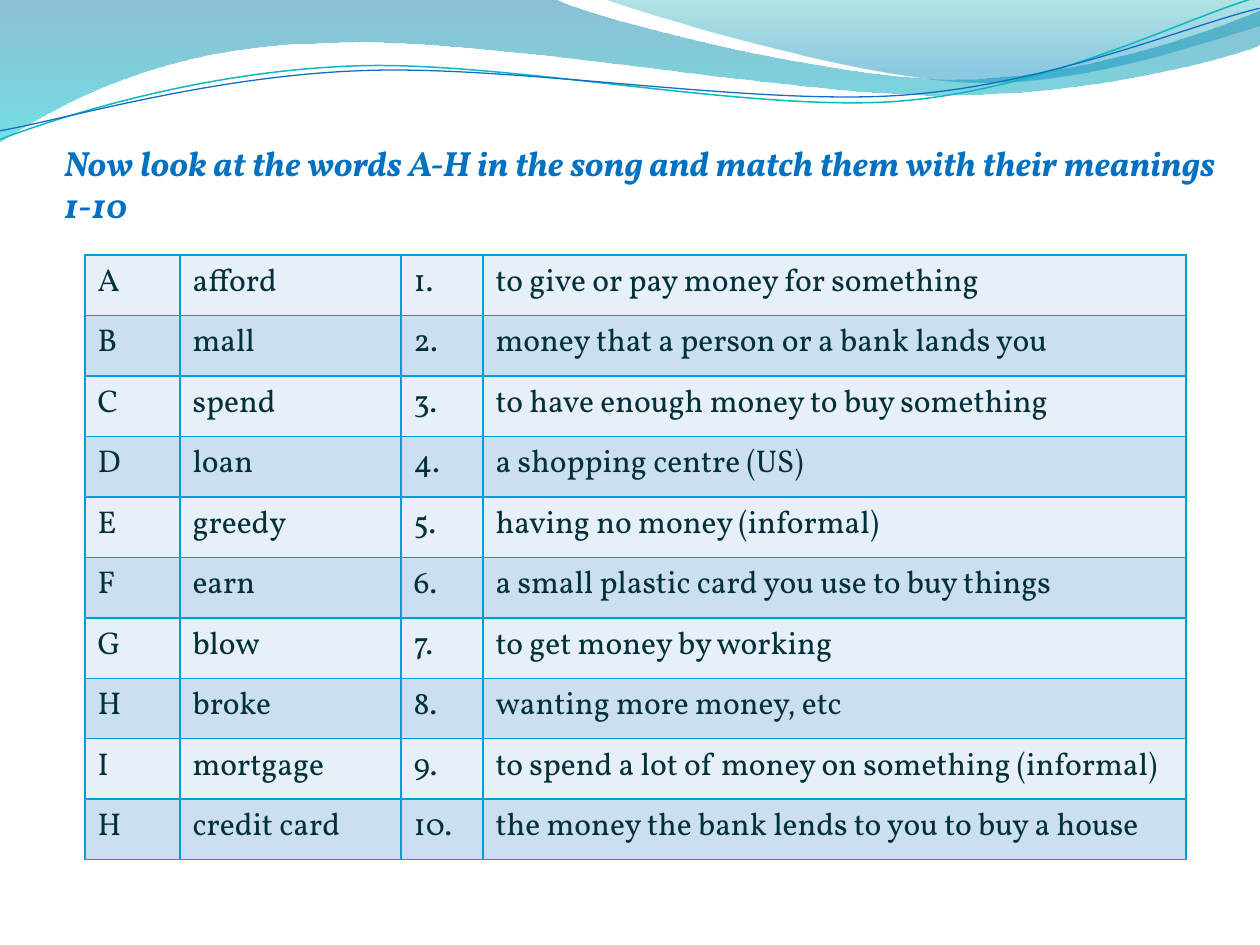
from lxml import etree
from pptx import Presentation
from pptx.dml.color import RGBColor
from pptx.oxml.ns import qn
from pptx.util import Emu, Pt

EMU_PER_PX = 914400 / 126
FONT = "Vollkorn"
LINE_TILT = -2.7
COLORS = {
    "heading": "0070C0",
    "cell_text": "01303D",
    "border": "009DD9",
    "odd_row": "E7EFF8",
    "even_row": "CCDFF1",
    "band_top": "0074A1",
    "band_bottom": "00C6CF",
    "veil_top": "00A1A9",
    "veil_bottom": "008BBF",
    "teal_line": "0AB8BF",
    "blue_line": "0F6FC6",
}

# A segment of one point is a straight line, one of three points a Bezier curve.
BAND = [(0, 0), [(554, -1)],
        [(600, 21), (837, 79), (955, 79)], [(1075, 79), (1207, 33), (1260, 11)],
        [(1261, 45)],
        [(1239, 55), (1096, 96), (940, 95)], [(784, 95), (481, 35), (324, 43)],
        [(163, 45), (58, 105), (-1, 142)]]
VEIL = [(604, -1),
        [(641, 14), (859, 78), (969, 82)], [(1079, 87), (1211, 40), (1260, 26)],
        [(1260, 0)]]
# The two lines are given level and tilted as a whole.
TEAL_LINE = [(-3, 110), [(58, 90), (199, 52), (350, 53)],
             [(499, 53), (745, 118), (896, 114)], [(1049, 109), (1184, 45), (1260, 27)]]
BLUE_LINE = [(-2, 101), [(57, 94), (207, 57), (357, 58)],
             [(509, 58), (750, 112), (902, 108)], [(1052, 104), (1188, 52), (1262, 38)]]

HEADING = "Now look at the words A-H in the song and match them with their meanings 1-10"
COLUMN_WIDTHS = [95, 221, 82, 703]
TABLE_HEIGHT = 605
MATCHES = [
    ("A", "afford", "to give or pay money for something"),
    ("B", "mall", "money that a person or a bank lands you"),
    ("C", "spend", "to have enough money to buy something"),
    ("D", "loan", "a shopping centre (US)"),
    ("E", "greedy", "having no money (informal)"),
    ("F", "earn", "a small plastic card you use to buy things"),
    ("G", "blow", "to get money by working"),
    ("H", "broke", "wanting more money, etc"),
    ("I", "mortgage", "to spend a lot of money on something (informal)"),
    ("H", "credit card", "the money the bank lends to you to buy a house"),
]


def px(length):
    return Emu(round(length * EMU_PER_PX))


def rgb(name):
    return RGBColor.from_string(COLORS[name])


def add_outline(slide, outline, closed):
    """Draw all points as straight lines, then join each triple into a curve."""
    start, *segments = outline
    points = [(px(x), px(y)) for segment in segments for x, y in segment]
    builder = slide.shapes.build_freeform(px(start[0]), px(start[1]))
    builder.add_line_segments(points, close=closed)
    shape = builder.convert_to_shape()
    shape.shadow.inherit = False
    straight_lines = iter(list(shape.element.spPr.iter(qn("a:lnTo"))))
    for segment in segments:
        first, *others = [next(straight_lines) for _ in segment]
        if others:
            first.tag = qn("a:cubicBezTo")
            for other in others:
                first.append(other[0])
                other.getparent().remove(other)
    return shape


def add_wave(slide, outline, stops):
    """Area with a downward gradient; stops are (colour, position, opacity %)."""
    wave = add_outline(slide, outline, closed=True)
    wave.line.fill.background()
    wave.fill.gradient()
    wave.fill.gradient_angle = 270
    for stop, (color, position, _) in zip(wave.fill.gradient_stops, stops):
        stop.color.rgb = rgb(color)
        stop.position = position
    color_nodes = wave.element.spPr.iter(qn("a:srgbClr"))
    for node, (_, _, opacity) in zip(color_nodes, stops):
        etree.SubElement(node, qn("a:alpha"), val=str(opacity * 1000))


def add_wave_line(slide, outline, color, width):
    wave_line = add_outline(slide, outline, closed=False)
    wave_line.rotation = LINE_TILT
    wave_line.fill.background()
    wave_line.line.color.rgb = rgb(color)
    wave_line.line.width = Pt(width)


def add_text(paragraph, text, size, color, emphasis=False):
    run = paragraph.add_run()
    run.text = text
    run.font.name = FONT
    run.font.size = Pt(size)
    run.font.color.rgb = rgb(color)
    run.font.bold = run.font.italic = emphasis


def add_heading(slide):
    frame = slide.shapes.add_textbox(px(64), px(135), px(1160), px(774)).text_frame
    frame.word_wrap = True
    frame.margin_left, frame.margin_right = 0, px(2)
    frame.margin_top = frame.margin_bottom = px(6)
    paragraph = frame.paragraphs[0]
    paragraph.space_before = Pt(4)
    add_text(paragraph, HEADING, 20, "heading", emphasis=True)


def set_borders(cell):
    properties = cell._tc.get_or_add_tcPr()
    for position, side in enumerate(("a:lnL", "a:lnR", "a:lnT", "a:lnB")):
        border = etree.Element(qn(side), w=str(Pt(1)))
        fill = etree.SubElement(border, qn("a:solidFill"))
        etree.SubElement(fill, qn("a:srgbClr"), val=COLORS["border"])
        properties.insert(position, border)


def add_match_table(slide):
    table = slide.shapes.add_table(
        len(MATCHES), len(COLUMN_WIDTHS), px(85), px(255),
        px(sum(COLUMN_WIDTHS)), px(TABLE_HEIGHT)).table
    table.first_row = table.horz_banding = False
    for column, width in zip(table.columns, COLUMN_WIDTHS):
        column.width = px(width)
    for index, (letter, word, meaning) in enumerate(MATCHES):
        row = table.rows[index]
        for cell, text in zip(row.cells, (letter, word, f"{index + 1}.", meaning)):
            cell.fill.solid()
            cell.fill.fore_color.rgb = rgb("even_row" if index % 2 else "odd_row")
            set_borders(cell)
            add_text(cell.text_frame.paragraphs[0], text, 18, "cell_text")


def main():
    deck = Presentation()
    deck.slide_width, deck.slide_height = px(1260), px(945)
    slide = deck.slides.add_slide(deck.slide_layouts[6])
    add_wave(slide, BAND, [("band_top", 0, 45), ("band_bottom", 1, 55)])
    add_wave(slide, VEIL, [("veil_top", 0, 30), ("veil_bottom", 0.8, 45)])
    add_wave_line(slide, TEAL_LINE, "teal_line", 0.85)
    add_wave_line(slide, BLUE_LINE, "blue_line", 0.75)
    add_heading(slide)
    add_match_table(slide)
    deck.save("out.pptx")


if __name__ == "__main__":
    main()
